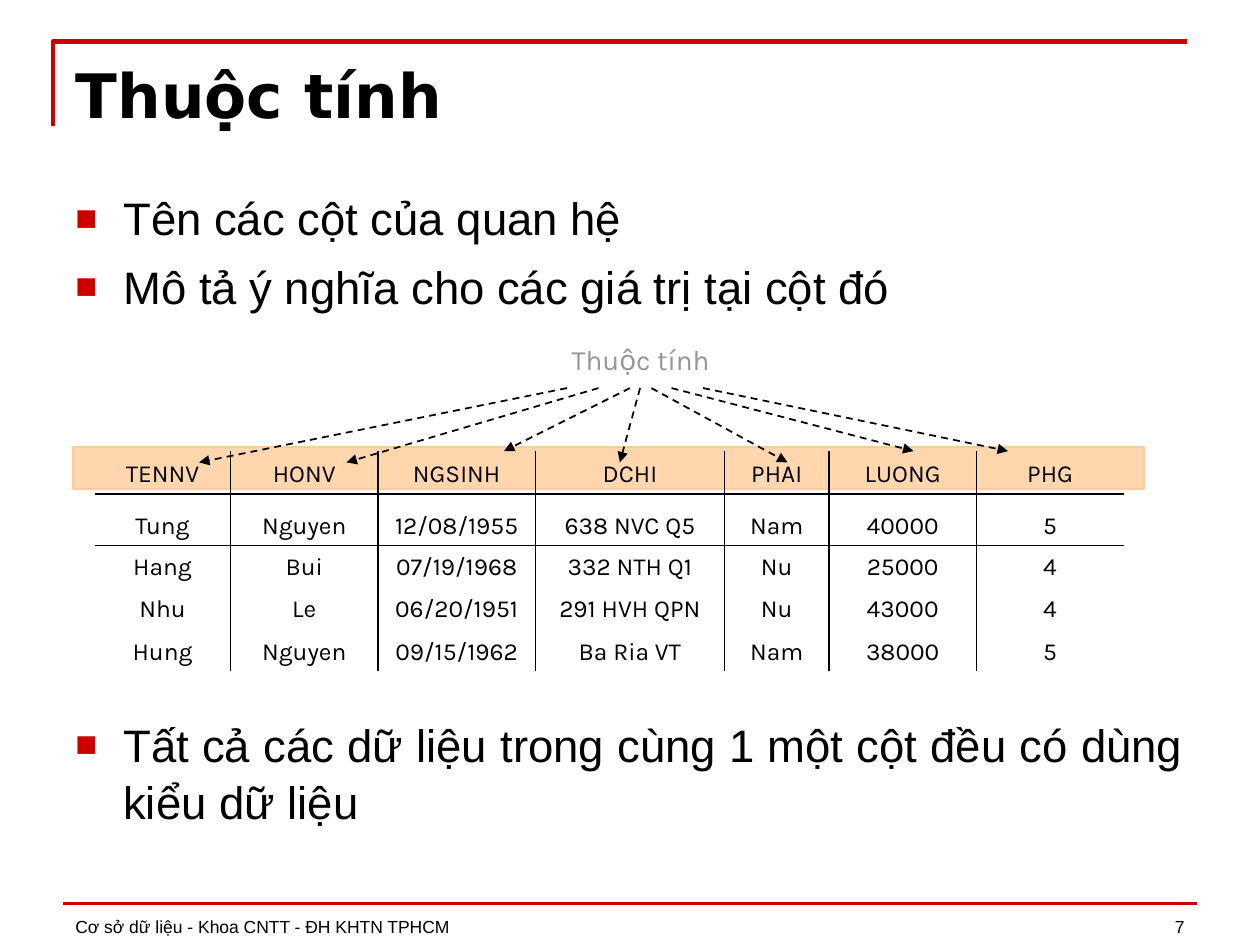
from lxml.etree import SubElement
from pptx import Presentation
from pptx.dml.color import RGBColor
from pptx.enum.dml import MSO_LINE
from pptx.enum.shapes import MSO_CONNECTOR, MSO_SHAPE
from pptx.enum.text import MSO_ANCHOR, MSO_AUTO_SIZE, PP_ALIGN
from pptx.oxml import parse_xml
from pptx.oxml.ns import nsdecls, qn
from pptx.util import Inches, Pt

RED, BLACK, GREY, ORANGE = "CC0000", "000000", "969696", "FFCC99"
hex_color = RGBColor.from_string


def add_line(start, end, color, width):
    line = slide.shapes.add_connector(
        MSO_CONNECTOR.STRAIGHT, *[Inches(value) for value in (*start, *end)])
    line.line.color.rgb = hex_color(color)
    line.line.width = Pt(width)
    SubElement(line._element.spPr, qn("a:effectLst"))
    return line


def add_span(para, text, size, font, color=BLACK):
    span = para.add_run()
    span.text = text
    span.font.size = Pt(size)
    span.font.name = font
    span.font.color.rgb = hex_color(color)
    return span


deck = Presentation()
deck.slide_width, deck.slide_height = Inches(10), Inches(7.5)
slide = deck.slides.add_slide(deck.slide_layouts[5])

# Frame lines
builder = slide.shapes.build_freeform(Inches(0.42), Inches(1))
builder.add_line_segments(
    [(Inches(0.42), Inches(0.33)), (Inches(9.42), Inches(0.33))], close=False)
corner = builder.convert_to_shape()
corner.shadow.inherit = False
corner.fill.background()
corner.line.color.rgb = hex_color(RED)
corner.line.width = Pt(2.5)
add_line((0.5, 7.17), (9.5, 7.17), RED, 2)

# Title
title = slide.shapes.title
title.left, title.top = Inches(0.5), Inches(0.41)
title.width, title.height = Inches(9), Inches(0.68)
title.text_frame.auto_size = MSO_AUTO_SIZE.NONE
title.text_frame.vertical_anchor = MSO_ANCHOR.BOTTOM
para = title.text_frame.paragraphs[0]
para.alignment = PP_ALIGN.LEFT
add_span(para, "Thuộc tính", 35, "DejaVu Sans").font.bold = True

# Bullets above and below the table
bullet_blocks = [
    (1.44, 1.1, ["Tên các cột của quan hệ",
                 "Mô tả ý nghĩa cho các giá trị tại cột đó"]),
    (5.62, 1.09, ["Tất cả các dữ liệu trong cùng 1 một cột đều có dùng kiểu dữ liệu"]),
]
for top, height, bullets in bullet_blocks:
    box = slide.shapes.add_textbox(Inches(0.5), Inches(top), Inches(9), Inches(height))
    box.text_frame.word_wrap = True
    for index, bullet in enumerate(bullets):
        para = box.text_frame.paragraphs[0] if index == 0 else box.text_frame.add_paragraph()
        para.alignment = PP_ALIGN.JUSTIFY
        para.line_spacing = 1.05
        if index:
            para.space_before = Pt(6.5)
        properties = para._p.get_or_add_pPr()
        properties.set("marL", str(Inches(0.38)))
        properties.set("indent", str(-Inches(0.38)))
        color = SubElement(properties, qn("a:buClr"))
        SubElement(color, qn("a:srgbClr"), val=RED)
        SubElement(properties, qn("a:buSzPct"), val="80000")
        SubElement(properties, qn("a:buFont"), typeface="Arial")
        SubElement(properties, qn("a:buChar"), char="■")
        add_span(para, bullet, 26, "Arial")

# Band behind the header row
band = slide.shapes.add_shape(
    MSO_SHAPE.RECTANGLE, Inches(0.58), Inches(3.55), Inches(8.5), Inches(0.33))
band.shadow.inherit = False
band.fill.solid()
band.fill.fore_color.rgb = hex_color(ORANGE)
SubElement(band._element.spPr.find(qn("a:solidFill"))[0], qn("a:alpha"), val="80000")
band.line.color.rgb = hex_color(ORANGE)
band.line.width = Pt(1)

# Employee table
rows = [
    ["TENNV", "HONV", "NGSINH", "DCHI", "PHAI", "LUONG", "PHG"],
    ["Tung", "Nguyen", "12/08/1955", "638 NVC Q5", "Nam", "40000", "5"],
    ["Hang", "Bui", "07/19/1968", "332 NTH Q1", "Nu", "25000", "4"],
    ["Nhu", "Le", "06/20/1951", "291 HVH QPN", "Nu", "43000", "4"],
    ["Hung", "Nguyen", "09/15/1962", "Ba Ria VT", "Nam", "38000", "5"],
]
column_widths = [1.08, 1.17, 1.25, 1.5, 0.83, 1.17, 1.17]
row_heights = [0.34, 0.41, 0.33, 0.33, 0.34]
frame = slide.shapes.add_table(
    len(rows), len(column_widths), Inches(0.75), Inches(3.58),
    Inches(sum(column_widths)), Inches(sum(row_heights)))
table = frame.table
table.first_row = table.horz_banding = False
table._tbl.tblPr.find(qn("a:tableStyleId")).text = "{2D5ABB26-0587-4C30-8999-92F81FD0307C}"
for column, width in zip(table.columns, column_widths):
    column.width = Inches(width)
for row, height in zip(table.rows, row_heights):
    row.height = Inches(height)

last_column = len(column_widths) - 1
for row_index, row in enumerate(rows):
    for column_index, text in enumerate(row):
        cell = table.cell(row_index, column_index)
        cell.margin_left = cell.margin_right = Inches(0.05)
        cell.margin_top, cell.margin_bottom = 0, Inches(0.04)
        cell.vertical_anchor = MSO_ANCHOR.BOTTOM
        borders = {"lnL": column_index > 0, "lnR": column_index < last_column,
                   "lnT": row_index == 1, "lnB": row_index == 0}
        for side, visible in borders.items():
            if visible:
                cell._tc.get_or_add_tcPr().append(parse_xml(
                    f'<a:{side} {nsdecls("a")} w="{Pt(1)}"><a:solidFill>'
                    f'<a:srgbClr val="{BLACK}"/></a:solidFill></a:{side}>'))
        cell.fill.background()
        para = cell.text_frame.paragraphs[0]
        para.alignment = PP_ALIGN.CENTER
        add_span(para, text, 14, "Karla")

# Arrows from the label to each column name
arrows = [
    ((4.5, 3.08), (1.58, 3.67)), ((4.75, 3.08), (2.75, 3.67)),
    ((5, 3.08), (4, 3.58)), ((5.08, 3.08), (4.92, 3.67)),
    ((5.17, 3.08), (6.25, 3.67)), ((5.33, 3.08), (7.25, 3.58)),
    ((5.58, 3.08), (8, 3.58)),
]
for start, end in arrows:
    arrow = add_line(start, end, BLACK, 1)
    arrow.line.dash_style = MSO_LINE.DASH
    SubElement(arrow.line._get_or_add_ln(), qn("a:tailEnd"), type="triangle")

# Arrow label, footer and slide number
captions = [
    ("Thuộc tính", (4, 2.67, 2.17, 0.37), 16, "Karla", GREY, PP_ALIGN.CENTER, MSO_ANCHOR.TOP),
    ("Cơ sở dữ liệu - Khoa CNTT - ĐH KHTN TPHCM", (0.5, 6.99, 6.08, 0.5),
     10, "Arial", BLACK, PP_ALIGN.LEFT, MSO_ANCHOR.BOTTOM),
    ("7", (7.17, 6.99, 2.33, 0.5), 10, "Arial", BLACK, PP_ALIGN.RIGHT, MSO_ANCHOR.BOTTOM),
]
for text, place, size, font, color, alignment, anchor in captions:
    box = slide.shapes.add_textbox(*[Inches(value) for value in place])
    box.text_frame.word_wrap = True
    box.text_frame.vertical_anchor = anchor
    para = box.text_frame.paragraphs[0]
    para.alignment = alignment
    add_span(para, text, size, font, color)

deck.save("out.pptx")
